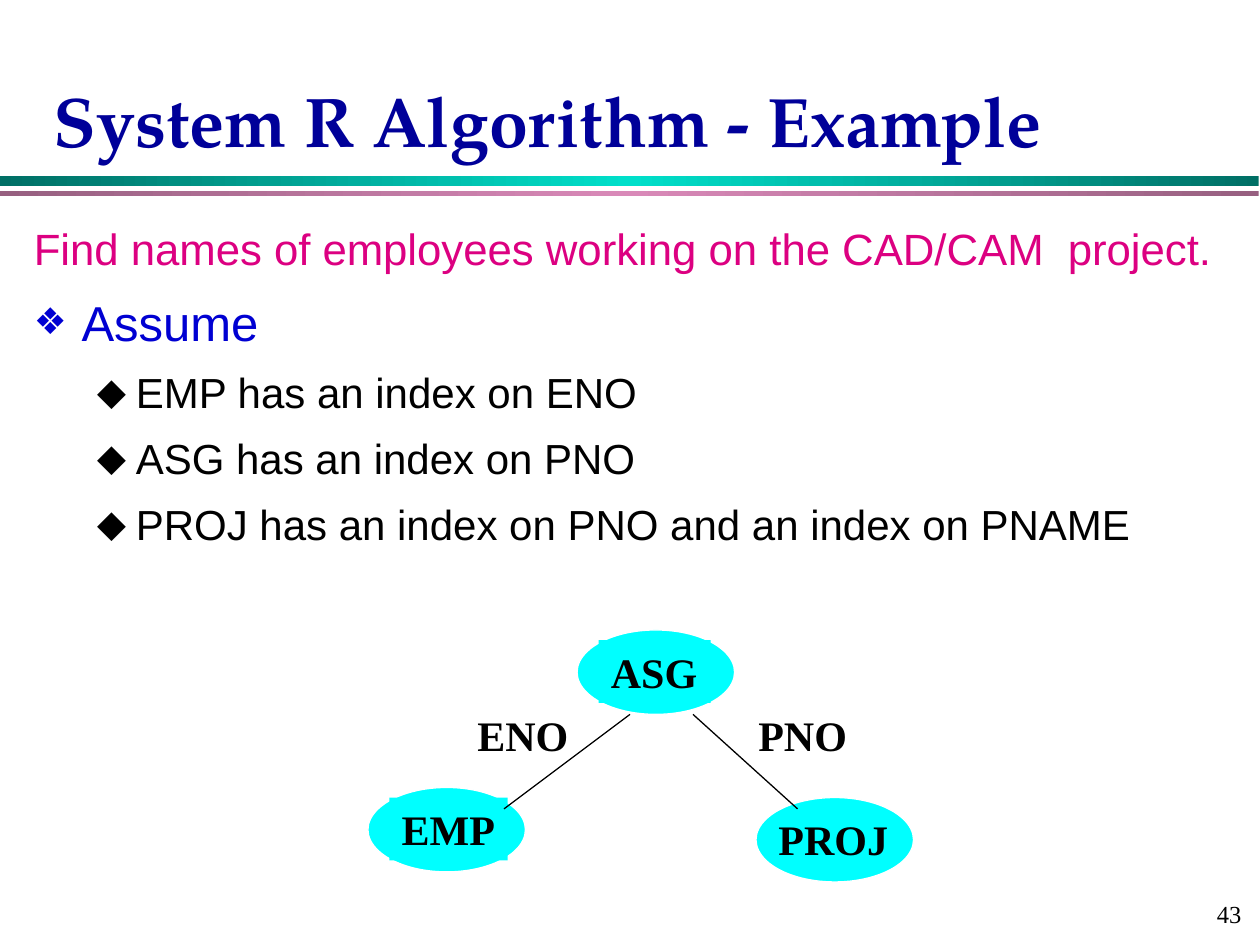
from copy import deepcopy
from dataclasses import dataclass

from lxml import etree
from pptx import Presentation
from pptx.dml.color import RGBColor
from pptx.enum.shapes import MSO_CONNECTOR, MSO_SHAPE
from pptx.enum.text import MSO_ANCHOR, MSO_AUTO_SIZE, PP_ALIGN
from pptx.oxml.ns import qn
from pptx.util import Inches, Pt

RECTANGLE, OVAL = MSO_SHAPE.RECTANGLE, MSO_SHAPE.OVAL
STRAIGHT = MSO_CONNECTOR.STRAIGHT
TOP, MIDDLE, BOTTOM = MSO_ANCHOR.TOP, MSO_ANCHOR.MIDDLE, MSO_ANCHOR.BOTTOM
LEFT, RIGHT = PP_ALIGN.LEFT, PP_ALIGN.RIGHT
FIXED, GROW = MSO_AUTO_SIZE.NONE, MSO_AUTO_SIZE.SHAPE_TO_FIT_TEXT


@dataclass(frozen=True)
class Theme:
    title_font: str = "TeX Gyre Pagella"
    body_font: str = "Arial"
    graph_font: str = "Times New Roman"
    title_size: float = 40
    query_size: float = 25
    heading_size: float = 28
    item_size: float = 24
    number_size: float = 14
    hairline: float = 0.75
    title: str = "000099"
    query: str = "DC0081"
    heading: str = "0000D2"
    ink: str = "000000"
    paper: str = "FFFFFF"
    node: str = "00FFFF"
    teal: tuple[str, str] = ("006F65", "00DFCA")
    mauve: tuple[str, str] = ("976080", "D989B8")


THEME = Theme()


@dataclass(frozen=True)
class Line:
    """One body paragraph; margin and hanging are in inches."""
    text: str
    size: float
    color: str
    space_before: float
    margin: float = 0.38
    hanging: float = 0.38
    bullet: str = ""
    bullet_percent: int = 100


@dataclass(frozen=True)
class Node:
    """A relation; the label patch is offset from the ellipse's corner."""
    name: str
    left: float
    top: float
    label_left: float
    label_width: float
    patch: bool = True


def item(text: str) -> Line:
    return Line(text, THEME.item_size, THEME.ink, 6, 0.81, 0.31, "⬥")


BODY = [
    Line("Find names of employees working on the CAD/CAM  project.",
         THEME.query_size, THEME.query, 6.2),
    Line("Assume", THEME.heading_size, THEME.heading, 7, bullet="❖", bullet_percent=75),
    item("EMP has an index on ENO"),
    item("ASG has an index on PNO"),
    item("PROJ has an index on PNO and an index on PNAME"),
]
NODES = [
    Node("ASG", 4.58, 5, 0.17, 0.89),
    Node("EMP", 2.92, 6.25, 0.17, 0.94),
    Node("PROJ", 6, 6.33, 0.08, 1.07, patch=False),
]
JOINS = [((5, 5.67), (4, 6.42)), ((5.5, 5.67), (6.33, 6.42))]
JOIN_LABELS = [("ENO", 3.69, 0.92), ("PNO", 5.92, 0.91)]


def color_of(value: str) -> RGBColor:
    return RGBColor.from_string(value)


def write(para, text: str, *, size: float, font: str, color: str, bold: bool = False) -> None:
    span = para.add_run()
    span.text = text
    span.font.size = Pt(size)
    span.font.name = font
    span.font.bold = bold
    span.font.color.rgb = color_of(color)


def add_box(slide, left: float, top: float, width: float, height: float, *,
            anchor=TOP, wrap: bool = True):
    """Add a text box; one that does not wrap grows with its text."""
    box = slide.shapes.add_textbox(Inches(left), Inches(top), Inches(width), Inches(height))
    box.text_frame.word_wrap = wrap
    box.text_frame.auto_size = FIXED if wrap else GROW
    box.text_frame.vertical_anchor = anchor
    return box


def add_text(slide, text: str, left: float, top: float, width: float, height: float, *,
             anchor=TOP, wrap: bool = True, align=LEFT, **text_format):
    box = add_box(slide, left, top, width, height, anchor=anchor, wrap=wrap)
    para = box.text_frame.paragraphs[0]
    para.alignment = align
    write(para, text, **text_format)
    return box


def add_label(slide, text: str, left: float, top: float, width: float):
    return add_text(slide, text, left, top, width, 0.5, wrap=False, size=THEME.item_size,
                    font=THEME.graph_font, color=THEME.ink, bold=True)


def add_band(slide, top: float, height: float, colors: tuple[str, str]) -> None:
    """Draw a rule that shades from the edge colour to the middle colour and back."""
    edge, middle = colors
    band = slide.shapes.add_shape(RECTANGLE, 0, Inches(top), Inches(9.99), Inches(height))
    band.shadow.inherit = False
    band.line.fill.background()
    band.fill.gradient()
    band.fill.gradient_angle = 0
    stops = band._element.spPr.find(".//" + qn("a:gsLst"))
    stops.append(deepcopy(stops[0]))
    for stop, position, color in zip(band.fill.gradient_stops, (0, 0.5, 1), (edge, middle, edge)):
        stop.position = position
        stop.color.rgb = color_of(color)


def set_bullet(properties, line: Line) -> None:
    color = etree.SubElement(properties, qn("a:buClr"))
    etree.SubElement(color, qn("a:srgbClr"), val=line.color)
    etree.SubElement(properties, qn("a:buSzPct"), val=str(line.bullet_percent * 1000))
    etree.SubElement(properties, qn("a:buFont"), typeface=THEME.body_font)
    etree.SubElement(properties, qn("a:buChar"), char=line.bullet)


def add_body(slide, lines: list[Line]) -> None:
    frame = add_box(slide, 0.17, 1.67, 9.83, 5).text_frame
    for index, line in enumerate(lines):
        para = frame.add_paragraph() if index else frame.paragraphs[0]
        para.line_spacing = 1.1
        para.space_before = Pt(line.space_before)
        properties = para._p.get_or_add_pPr()
        properties.set("marL", str(Inches(line.margin)))
        properties.set("indent", str(-Inches(line.hanging)))
        if line.bullet:
            para.level = 1 if line.margin > 0.5 else 0
            set_bullet(properties, line)
        write(para, line.text, size=line.size, font=THEME.body_font, color=line.color)


def add_node(slide, node: Node) -> None:
    ellipse = slide.shapes.add_shape(OVAL, Inches(node.left), Inches(node.top),
                                     Inches(1.25), Inches(0.67))
    ellipse.shadow.inherit = False
    ellipse.fill.solid()
    ellipse.fill.fore_color.rgb = color_of(THEME.node)
    ellipse.line.color.rgb = color_of(THEME.paper)
    ellipse.line.width = Pt(THEME.hairline)
    label = add_label(slide, node.name, node.left + node.label_left, node.top + 0.08,
                      node.label_width)
    if node.patch:
        label.fill.solid()
        label.fill.fore_color.rgb = color_of(THEME.node)


def add_join(slide, start: tuple[float, float], end: tuple[float, float]) -> None:
    points = [Inches(value) for value in (*start, *end)]
    join = slide.shapes.add_connector(STRAIGHT, *points)
    join.line.color.rgb = color_of(THEME.ink)
    join.line.width = Pt(THEME.hairline)
    etree.SubElement(join._element.spPr, qn("a:effectLst"))


def main() -> None:
    deck = Presentation()
    deck.slide_width, deck.slide_height = Inches(10), Inches(7.5)
    slide = deck.slides.add_slide(deck.slide_layouts[6])
    add_band(slide, 1.4, 0.08, THEME.teal)
    add_band(slide, 1.52, 0.04, THEME.mauve)
    add_text(slide, "43 ", 7.92, 7, 2.08, 0.5, anchor=MIDDLE, align=RIGHT,
             size=THEME.number_size, font=THEME.graph_font, color=THEME.ink)
    add_text(slide, "System R Algorithm - Example", 0.33, 0.25, 9.25, 1.08, anchor=BOTTOM,
             size=THEME.title_size, font=THEME.title_font, color=THEME.title, bold=True)
    add_body(slide, BODY)
    for node in NODES:
        add_node(slide, node)
    for text, left, width in JOIN_LABELS:
        add_label(slide, text, left, 5.58, width)
    for start, end in JOINS:
        add_join(slide, start, end)
    deck.save("out.pptx")


if __name__ == "__main__":
    main()
